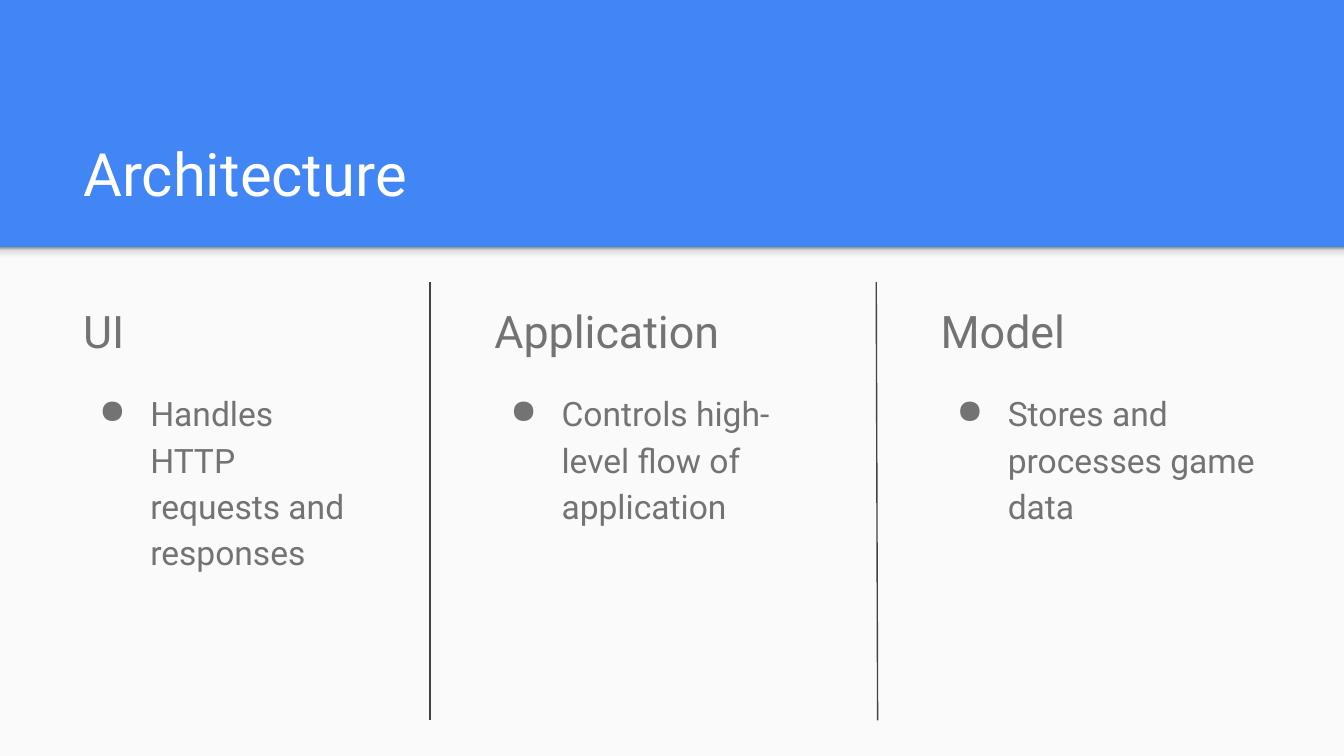
from lxml import etree
from pptx import Presentation
from pptx.dml.color import RGBColor
from pptx.enum.shapes import MSO_CONNECTOR, MSO_SHAPE
from pptx.enum.text import MSO_ANCHOR
from pptx.oxml.ns import qn
from pptx.util import Inches, Pt

RECTANGLE = MSO_SHAPE.RECTANGLE
STRAIGHT = MSO_CONNECTOR.STRAIGHT
TOP, BOTTOM = MSO_ANCHOR.TOP, MSO_ANCHOR.BOTTOM

BLUE = RGBColor(0x42, 0x85, 0xF4)
PAPER = RGBColor(0xFA, 0xFA, 0xFA)
WHITE = RGBColor(0xFF, 0xFF, 0xFF)
GRAY = RGBColor(0x73, 0x73, 0x73)
DARK_GRAY = RGBColor(0x42, 0x42, 0x42)
SHADOW_STOPS = [
    (0, RGBColor(0xF9, 0xF9, 0xF9)),
    (36, RGBColor(0xF9, 0xF9, 0xF9)),
    (80, RGBColor(0xDE, 0xDE, 0xDE)),
    (100, RGBColor(0x99, 0x99, 0x99)),
]
FONT = "Roboto"

SLIDE_WIDTH = 10
SLIDE_HEIGHT = SLIDE_WIDTH * 9 / 16
HEADER_HEIGHT = 1.84
COLUMN_TOP, COLUMN_HEIGHT = 2.1, 2.96
DIVIDER_HEIGHT = 3.26
DIVIDERS = [(3.2, 3.2), (6.52, 6.53)]  # top x, bottom x
COLUMNS = [  # left, width, heading, bullet
    (0.52, 2.3, "UI", "Handles HTTP requests and responses"),
    (3.58, 2.57, "Application", "Controls high-level flow of application"),
    (6.9, 2.61, "Model", "Stores and processes game data"),
]


def add_rectangle(slide, left, top, width, height):
    shape = slide.shapes.add_shape(
        RECTANGLE, Inches(left), Inches(top), Inches(width), Inches(height))
    shape.shadow.inherit = False
    shape.line.fill.background()
    return shape


def set_gradient(shape, stops):
    """Fill with (percent, colour) stops running from bottom to top."""
    shape.fill.gradient()
    shape.fill.gradient_angle = 90
    stop_list = shape._element.spPr.find(".//" + qn("a:gsLst"))
    for stop in list(stop_list):
        stop_list.remove(stop)
    for percent, color in stops:
        stop = etree.SubElement(stop_list, qn("a:gs"), pos=str(percent * 1000))
        etree.SubElement(stop, qn("a:srgbClr"), val=str(color))


def add_text_frame(slide, left, top, width, height, anchor):
    text_box = slide.shapes.add_textbox(
        Inches(left), Inches(top), Inches(width), Inches(height))
    frame = text_box.text_frame
    frame.word_wrap = True
    frame.vertical_anchor = anchor
    frame.margin_left = frame.margin_right = Inches(0.1)
    frame.margin_top = frame.margin_bottom = Inches(0.1)
    return frame


def write_paragraph(paragraph, text, size, color):
    paragraph.text = text
    font = paragraph.runs[0].font
    font.name, font.size = FONT, Pt(size)
    font.color.rgb = color


def set_bullet(paragraph, color):
    properties = paragraph._p.get_or_add_pPr()
    properties.set("marL", str(Inches(0.5)))
    properties.set("indent", str(Inches(-0.38)))
    bullet_color = etree.SubElement(properties, qn("a:buClr"))
    etree.SubElement(bullet_color, qn("a:srgbClr"), val=str(color))
    etree.SubElement(properties, qn("a:buChar"), char="●")


def add_backdrop(slide):
    """Blue header over a pale body, with a soft shadow below the header."""
    slide.background.fill.solid()
    slide.background.fill.fore_color.rgb = BLUE
    body = add_rectangle(
        slide, 0, HEADER_HEIGHT, SLIDE_WIDTH, SLIDE_HEIGHT - HEADER_HEIGHT)
    body.fill.solid()
    body.fill.fore_color.rgb = PAPER
    shadow = add_rectangle(slide, 0, HEADER_HEIGHT, SLIDE_WIDTH, 0.12)
    set_gradient(shadow, SHADOW_STOPS)


def add_title(slide, left, top, width, height, text):
    frame = add_text_frame(slide, left, top, width, height, BOTTOM)
    write_paragraph(frame.paragraphs[0], text, 32, WHITE)


def add_column(slide, left, top, width, height, heading, bullet):
    frame = add_text_frame(slide, left, top, width, height, TOP)
    heading_paragraph = frame.paragraphs[0]
    write_paragraph(heading_paragraph, heading, 24, GRAY)
    bullet_paragraph = frame.add_paragraph()
    write_paragraph(bullet_paragraph, bullet, 18, GRAY)
    heading_paragraph.line_spacing = bullet_paragraph.line_spacing = 1.15
    bullet_paragraph.space_before = Pt(16)
    set_bullet(bullet_paragraph, GRAY)


def add_divider(slide, top_x, bottom_x, top, height):
    line = slide.shapes.add_connector(
        STRAIGHT, Inches(top_x), Inches(top),
        Inches(bottom_x), Inches(top + height))
    line.line.color.rgb = DARK_GRAY
    line.line.width = Pt(0.75)
    etree.SubElement(line._element.spPr, qn("a:effectLst"))


def main():
    presentation = Presentation()
    presentation.slide_width = Inches(SLIDE_WIDTH)
    presentation.slide_height = Inches(SLIDE_HEIGHT)
    slide = presentation.slides.add_slide(presentation.slide_layouts[6])
    add_backdrop(slide)
    add_title(slide, 0.52, 0.81, 8.99, 0.84, "Architecture")
    for left, width, heading, bullet in COLUMNS:
        add_column(slide, left, COLUMN_TOP, width, COLUMN_HEIGHT, heading, bullet)
    for top_x, bottom_x in DIVIDERS:
        add_divider(slide, top_x, bottom_x, COLUMN_TOP, DIVIDER_HEIGHT)
    presentation.save("out.pptx")


if __name__ == "__main__":
    main()
